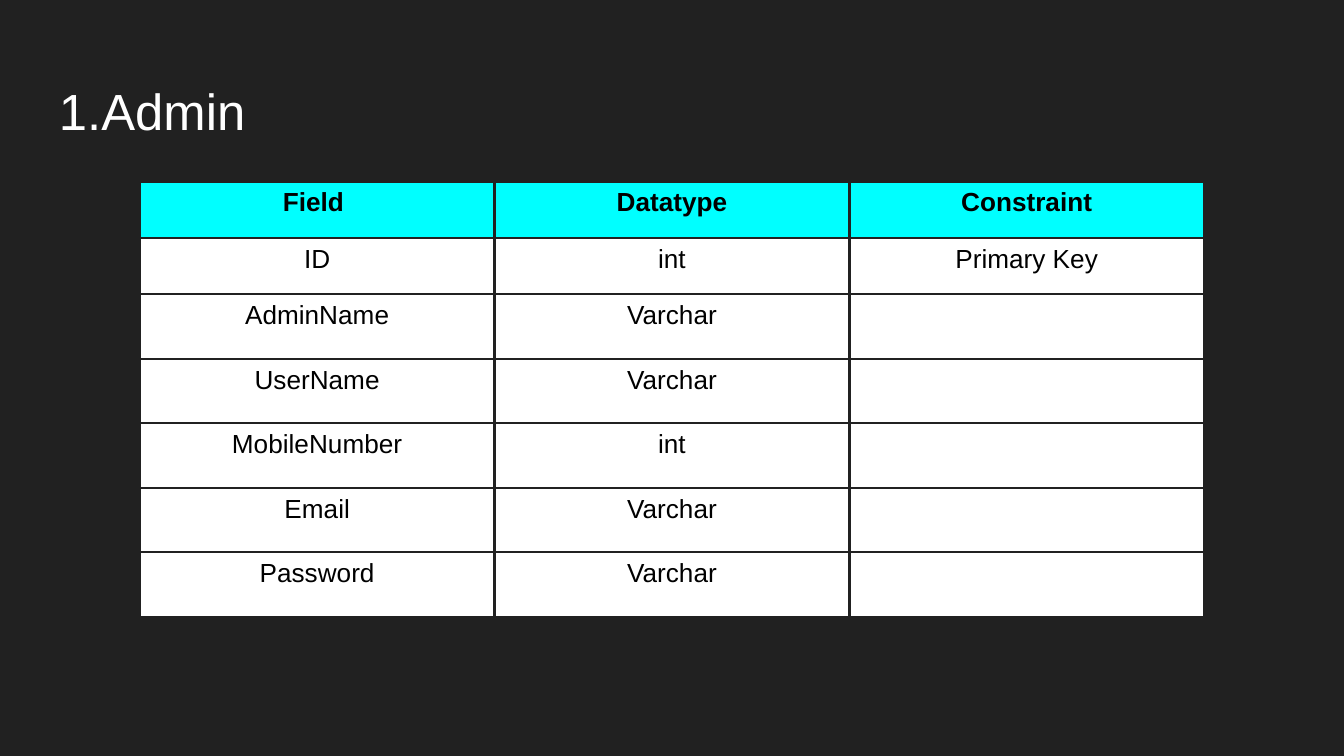
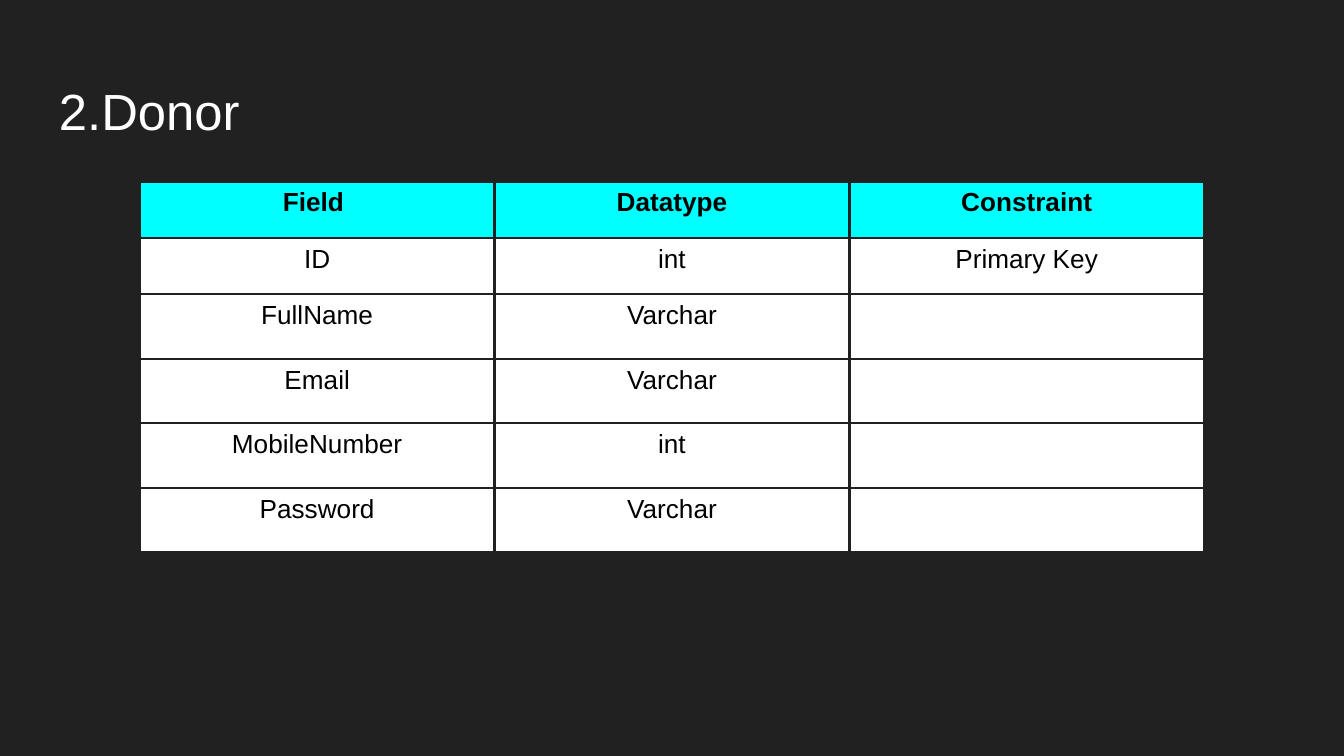
"""Build two slides that describe the Admin and Donor database tables."""
from dataclasses import dataclass

import pptx
import pptx.dml.color
import pptx.enum.text
import pptx.oxml
import pptx.oxml.ns
import pptx.presentation
import pptx.slide
import pptx.table
import pptx.text.text
import pptx.util
from pptx.util import Inches


@dataclass(frozen=True)
class Theme:
    font: str = "Arial"
    background: str = "212121"
    title_color: str = "FFFFFF"
    cell_text: str = "000000"
    header_fill: str = "00FFFF"
    body_fill: str = "FFFFFF"
    title_size: float = 27.2
    cell_size: float = 14
    border_width: float = 1.47


@dataclass(frozen=True)
class Field:
    name: str
    datatype: str
    constraint: str = ""


@dataclass(frozen=True)
class Entity:
    title: str
    fields: tuple[Field, ...]


THEME = Theme()
HEADER = Field("Field ", "Datatype", "Constraint")
SLIDE_WIDTH = Inches(10)
SLIDE_HEIGHT = SLIDE_WIDTH * 9 // 16
COLUMN_WIDTH = Inches(2.64)
FILLED_ROW_HEIGHT = Inches(0.42)
SPARSE_ROW_HEIGHT = Inches(0.48)

ID = Field("ID", "int", "Primary Key")
MOBILE = Field("MobileNumber", "int")
EMAIL = Field("Email", "Varchar")
PASSWORD = Field("Password", "Varchar")

ENTITIES = (
    Entity("1.Admin", (ID, Field("AdminName", "Varchar"), Field("UserName", "Varchar"),
                       MOBILE, EMAIL, PASSWORD)),
    Entity("2.Donor", (ID, Field("FullName", "Varchar"), EMAIL, MOBILE, PASSWORD)),
)


def rgb(value: str) -> pptx.dml.color.RGBColor:
    return pptx.dml.color.RGBColor.from_string(value)


def add_span(para: pptx.text.text._Paragraph, text: str, size: float, color: str,
             bold: bool = False) -> None:
    span = para.add_run()
    span.text = text
    span.font.name = THEME.font
    span.font.size = pptx.util.Pt(size)
    span.font.bold = bold
    span.font.color.rgb = rgb(color)


def add_title(page: pptx.slide.Slide, text: str) -> None:
    box = page.shapes.add_textbox(Inches(0.34), Inches(0.49), Inches(9.32), Inches(0.63))
    frame = box.text_frame
    frame.word_wrap = True
    frame.margin_left = frame.margin_right = Inches(0.1)
    frame.margin_top = frame.margin_bottom = Inches(0.1)
    add_span(frame.paragraphs[0], text, THEME.title_size, THEME.title_color)


def add_borders(cell: pptx.table._Cell) -> None:
    properties = cell._tc.get_or_add_tcPr()
    width = pptx.util.Pt(THEME.border_width)
    for side in ("lnL", "lnR", "lnT", "lnB"):
        properties.append(pptx.oxml.parse_xml(
            f'<a:{side} {pptx.oxml.ns.nsdecls("a")} w="{width}"><a:solidFill>'
            f'<a:srgbClr val="{THEME.background}"/></a:solidFill></a:{side}>'))


def fill_cell(cell: pptx.table._Cell, text: str, is_header: bool) -> None:
    add_borders(cell)
    cell.fill.solid()
    cell.fill.fore_color.rgb = rgb(THEME.header_fill if is_header else THEME.body_fill)
    cell.margin_left = cell.margin_right = Inches(0.1)
    cell.margin_top = cell.margin_bottom = Inches(0.05)
    if text:
        para = cell.text_frame.paragraphs[0]
        para.alignment = pptx.enum.text.PP_ALIGN.CENTER
        add_span(para, text, THEME.cell_size, THEME.cell_text, is_header)


def add_field_table(page: pptx.slide.Slide, fields: tuple[Field, ...]) -> None:
    rows = (HEADER, *fields)
    heights = [FILLED_ROW_HEIGHT if row.constraint else SPARSE_ROW_HEIGHT for row in rows]
    table = page.shapes.add_table(len(rows), 3, Inches(1.04), Inches(1.35),
                                  3 * COLUMN_WIDTH, sum(heights)).table
    table.first_row = table.horz_banding = False
    for column in table.columns:
        column.width = COLUMN_WIDTH
    for index, (row, height) in enumerate(zip(rows, heights)):
        table.rows[index].height = height
        for column, text in enumerate((row.name, row.datatype, row.constraint)):
            fill_cell(table.cell(index, column), text, row is HEADER)


def add_page(deck: pptx.presentation.Presentation, entity: Entity) -> None:
    page = deck.slides.add_slide(deck.slide_layouts[6])
    page.background.fill.solid()
    page.background.fill.fore_color.rgb = rgb(THEME.background)
    add_title(page, entity.title)
    add_field_table(page, entity.fields)


def main() -> None:
    deck = pptx.Presentation()
    deck.slide_width = SLIDE_WIDTH
    deck.slide_height = SLIDE_HEIGHT
    for entity in ENTITIES:
        add_page(deck, entity)
    deck.save("out.pptx")


if __name__ == "__main__":
    main()
